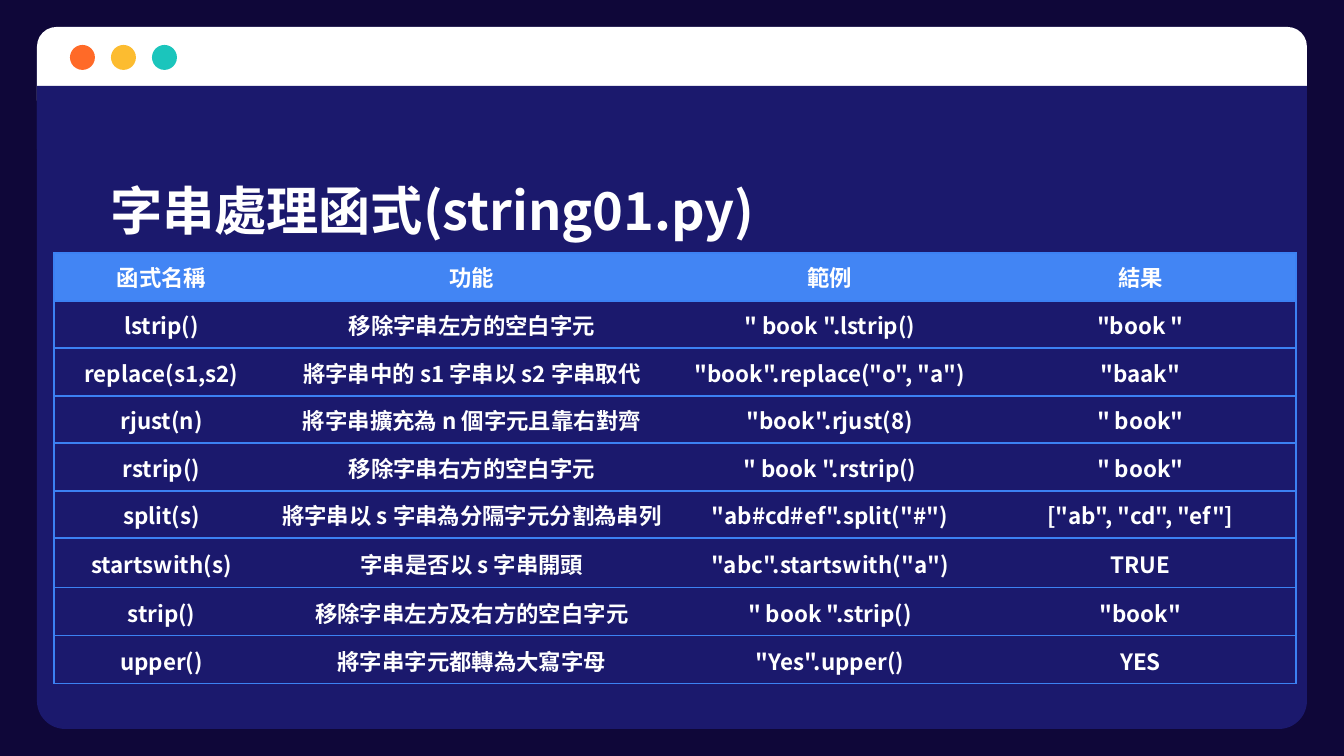
from lxml import etree
from pptx import Presentation
from pptx import util as u
from pptx.dml.color import RGBColor
from pptx.enum import shapes, text
from pptx.oxml.ns import qn

NIGHT = RGBColor(0x0F, 0x07, 0x39)
NAVY = RGBColor(0x1B, 0x19, 0x6D)
WHITE = RGBColor(0xFF, 0xFF, 0xFF)
ORANGE = RGBColor(0xFF, 0x6A, 0x28)
YELLOW = RGBColor(0xFC, 0xBC, 0x30)
TEAL = RGBColor(0x1B, 0xC5, 0xBC)
HEADER = RGBColor(0x42, 0x85, 0xF4)
LINE = RGBColor(0x3C, 0x81, 0xF3)
FONT = "Noto Sans CJK SC"
SCALE = 914400 / 134.4

ROWS = [
    ("函式名稱", "功能", "範例", "結果"),
    ("lstrip()", "移除字串左方的空白字元", '" book ".lstrip()', '"book "'),
    ("replace(s1,s2)", "將字串中的 s1 字串以 s2 字串取代", '"book".replace("o", "a")', '"baak"'),
    ("rjust(n)", "將字串擴充為 n 個字元且靠右對齊", '"book".rjust(8)', '" book"'),
    ("rstrip()", "移除字串右方的空白字元", '" book ".rstrip()', '" book"'),
    ("split(s)", "將字串以 s 字串為分隔字元分割為串列", '"ab#cd#ef".split("#")', '["ab", "cd", "ef"]'),
    ("startswith(s)", "字串是否以 s 字串開頭", '"abc".startswith("a")', "TRUE"),
    ("strip()", "移除字串左方及右方的空白字元", '" book ".strip()', '"book"'),
    ("upper()", "將字串字元都轉為大寫字母", '"Yes".upper()', "YES"),
]
COL_WIDTHS = [215, 406, 310, 311]
ROW_HEIGHTS = [48, 47, 48, 47, 48, 47, 50, 48, 48]


def px(n):
    """Turn px into EMU."""
    return u.Emu(round(n * SCALE))


def write(tf, content, size=12, color=WHITE, bold=True, align=text.PP_ALIGN.CENTER):
    """Write one formatted paragraph into a text frame."""
    p = tf.paragraphs[0]
    p.alignment = align
    r = p.add_run()
    r.text = content
    r.font.size = u.Pt(size)
    r.font.bold = bold
    r.font.name = FONT
    r.font.color.rgb = color
    etree.SubElement(r.font._element, qn("a:ea"), typeface=FONT)


def border(cell, side, color=None):
    """Draw one cell edge, or clear it when no colour is given."""
    ln = etree.SubElement(cell._tc.get_or_add_tcPr(), qn(f"a:ln{side}"), w=str(u.Pt(0.75)))
    if color is None:
        etree.SubElement(ln, qn("a:noFill"))
    else:
        fill = etree.SubElement(ln, qn("a:solidFill"))
        etree.SubElement(fill, qn("a:srgbClr"), val=str(color))


class Deck:
    """Hold the style and the current slide."""

    def __init__(self):
        """Start a one-slide deck on the blank layout."""
        self.prs = Presentation()
        self.prs.slide_width, self.prs.slide_height = px(1344), px(756)
        self.s = self.prs.slides.add_slide(self.prs.slide_layouts[6])
        bg = self.s.background.fill
        bg.solid()
        bg.fore_color.rgb = NIGHT

    def shape(self, kind, x, y, w, h, color, adj=None):
        """Add a filled preset shape."""
        sp = self.s.shapes.add_shape(kind, px(x), px(y), px(w), px(h))
        sp.shadow.inherit = False
        sp.fill.solid()
        sp.fill.fore_color.rgb = color
        sp.line.fill.background()
        if adj is not None:
            sp.adjustments[0] = adj

    def title(self, content, x, y, w, h):
        """Add the slide title."""
        tf = self.s.shapes.add_textbox(px(x), px(y), px(w), px(h)).text_frame
        tf.word_wrap = True
        tf.vertical_anchor = text.MSO_ANCHOR.MIDDLE
        tf.margin_left = tf.margin_right = 0
        tf.margin_top = tf.margin_bottom = px(13)
        write(tf, content, size=28, align=text.PP_ALIGN.LEFT)

    def table(self, rows, x, y, widths, heights):
        """Add a table with a filled header and horizontal rules."""
        frame = self.s.shapes.add_table(
            len(rows), len(widths), px(x), px(y), px(sum(widths)), px(sum(heights)))
        tbl = frame.table
        tbl.horz_banding = False
        for col, w in zip(tbl.columns, widths):
            col.width = px(w)
        for row, h in zip(tbl.rows, heights):
            row.height = px(h)
        last = len(widths) - 1
        for i, row in enumerate(rows):
            for j, content in enumerate(row):
                self.cell(tbl.cell(i, j), content, i == 0, j == 0, j == last)

    def cell(self, cell, content, header, first, last):
        """Fill in one table cell."""
        write(cell.text_frame, content)
        cell.vertical_anchor = text.MSO_ANCHOR.MIDDLE
        border(cell, "L", LINE if first else None)
        border(cell, "R", LINE if last else None)
        border(cell, "T", LINE)
        border(cell, "B", LINE)
        if header:
            cell.fill.solid()
            cell.fill.fore_color.rgb = HEADER
        else:
            cell.fill.background()
            cell.margin_left = cell.margin_right = cell.margin_top = px(1)
            cell.margin_bottom = 0


def main():
    """Build the slide and save it."""
    deck = Deck()
    rounded = shapes.MSO_SHAPE.ROUNDED_RECTANGLE
    deck.shape(rounded, 37, 27, 1270, 702, NAVY, 0.04)
    deck.shape(rounded, 37, 27, 1270, 93, WHITE, 0.21)
    deck.shape(rounded, 37, 86, 1270, 63, NAVY, 0)
    for i, color in enumerate((ORANGE, YELLOW, TEAL)):
        deck.shape(shapes.MSO_SHAPE.OVAL, 70 + 41 * i, 45, 25, 25, color)
    deck.title("字串處理函式(string01.py)", 110, 147, 1185, 126)
    deck.table(ROWS, 54, 253, COL_WIDTHS, ROW_HEIGHTS)
    deck.prs.save("out.pptx")


if __name__ == "__main__":
    main()
